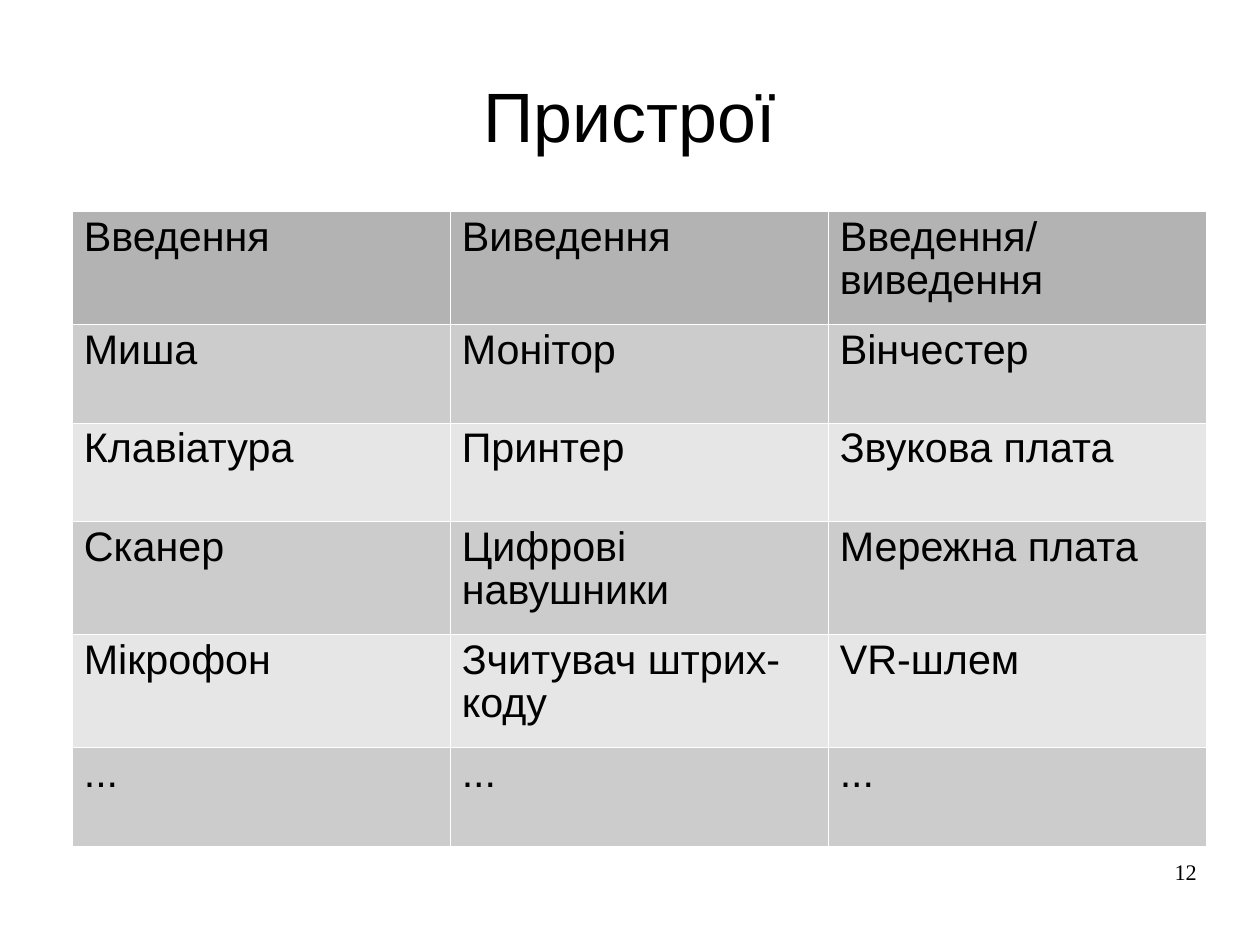
from lxml.etree import SubElement
from pptx import Presentation
from pptx.dml.color import RGBColor
from pptx.enum.text import MSO_ANCHOR, PP_ALIGN
from pptx.oxml.ns import qn
from pptx.util import Pt

COLORS = {
    "text": "000000",
    "border": "FFFFFF",
    "header": "B3B3B3",
    "odd": "CCCCCC",
    "even": "E6E6E6",
}
LINE_SPACING = 0.93
BORDER_WIDTH = Pt(0.06)

DEVICES = [
    ["Введення", "Виведення", "Введення/\nвиведення"],
    ["Миша", "Монітор", "Вінчестер"],
    ["Клавіатура", "Принтер", "Звукова плата"],
    ["Сканер", "Цифрові навушники", "Мережна плата"],
    ["Мікрофон", "Зчитувач штрих-коду", "VR-шлем"],
    ["...", "...", "..."],
]
TALL_ROW, SHORT_ROW = 71.2, 62
ROW_HEIGHTS = [TALL_ROW, SHORT_ROW, SHORT_ROW, TALL_ROW, TALL_ROW, SHORT_ROW]


def write_text(text_frame, text, size, font="Arial", align=PP_ALIGN.LEFT):
    text_frame.text = text
    text_frame.word_wrap = True
    for paragraph in text_frame.paragraphs:
        paragraph.alignment = align
        paragraph.line_spacing = LINE_SPACING
        paragraph.space_before = Pt(0)
        for run in paragraph.runs:
            run.font.name = font
            run.font.size = Pt(size)
            run.font.color.rgb = RGBColor.from_string(COLORS["text"])


def set_margins(text_frame, top=0):
    text_frame.margin_left = text_frame.margin_right = Pt(0)
    text_frame.margin_top, text_frame.margin_bottom = Pt(top), Pt(0)


def add_title(slide, left, top, width, height):
    title = slide.shapes.title
    title.left, title.top = Pt(left), Pt(top)
    title.width, title.height = Pt(width), Pt(height)
    set_margins(title.text_frame, top=2.8)
    title.text_frame.vertical_anchor = MSO_ANCHOR.MIDDLE
    write_text(title.text_frame, "Пристрої", 44, align=PP_ALIGN.CENTER)


def add_borders(cell):
    properties = cell._tc.get_or_add_tcPr()
    for side in ("a:lnL", "a:lnR", "a:lnT", "a:lnB"):
        line = SubElement(properties, qn(side), w=str(BORDER_WIDTH))
        fill = SubElement(line, qn("a:solidFill"))
        SubElement(fill, qn("a:srgbClr"), val=COLORS["border"])


def add_device_table(slide, left, top, width):
    row_count, column_count = len(DEVICES), len(DEVICES[0])
    table = slide.shapes.add_table(
        row_count, column_count, Pt(left), Pt(top), Pt(width), Pt(sum(ROW_HEIGHTS))
    ).table
    for column in table.columns:
        column.width = Pt(width / column_count)
    for index, (row, height) in enumerate(zip(table.rows, ROW_HEIGHTS)):
        row.height = Pt(height)
        band = "header" if index == 0 else "odd" if index % 2 else "even"
        for cell, text in zip(row.cells, DEVICES[index]):
            # Borders come before the fill in the cell properties
            add_borders(cell)
            cell.fill.solid()
            cell.fill.fore_color.rgb = RGBColor.from_string(COLORS[band])
            write_text(cell.text_frame, text, 26)


def add_page_number(slide, left, top, width, height):
    box = slide.shapes.add_textbox(Pt(left), Pt(top), Pt(width), Pt(height))
    set_margins(box.text_frame)
    write_text(box.text_frame, "12", 14, "Times New Roman", PP_ALIGN.RIGHT)


def main():
    presentation = Presentation()
    presentation.slide_width, presentation.slide_height = Pt(793.6), Pt(595.3)
    slide = presentation.slides.add_slide(presentation.slide_layouts[5])
    add_title(slide, 39.6, 23.7, 714.2, 99.4)
    add_device_table(slide, 45.6, 133.2, 714.2)
    add_page_number(slide, 568.8, 542.2, 185, 41)
    presentation.save("out.pptx")


if __name__ == "__main__":
    main()
